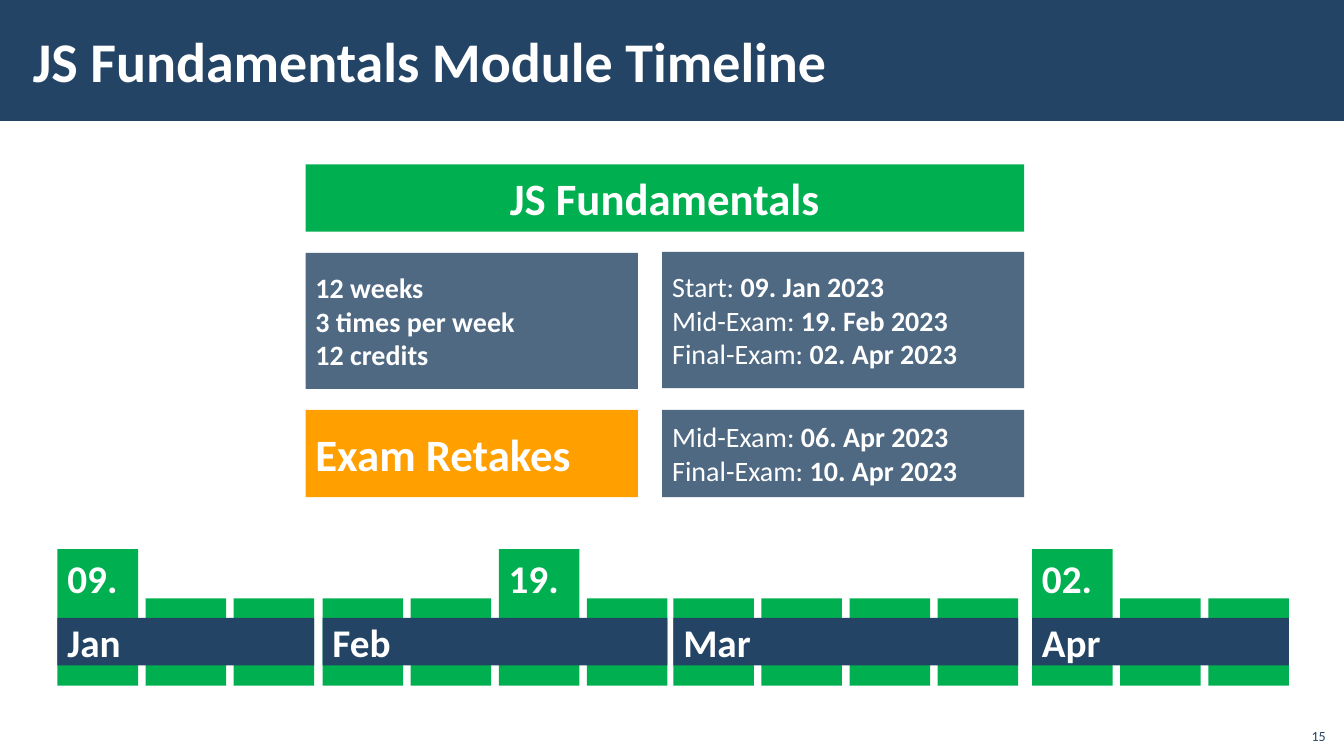
from dataclasses import dataclass

from lxml import etree
from pptx import Presentation
from pptx.dml.color import RGBColor
from pptx.enum.shapes import MSO_SHAPE
from pptx.enum.text import MSO_ANCHOR, PP_ALIGN
from pptx.oxml.ns import qn
from pptx.util import Cm, Pt

RECT = MSO_SHAPE.RECTANGLE
TOP, MIDDLE, BOTTOM = MSO_ANCHOR.TOP, MSO_ANCHOR.MIDDLE, MSO_ANCHOR.BOTTOM
LEFT, CENTER, RIGHT = PP_ALIGN.LEFT, PP_ALIGN.CENTER, PP_ALIGN.RIGHT
NAVY, GREEN, ORANGE, WHITE = "234465", "00B050", "FFA000", "FFFFFF"


@dataclass
class Text:
    lines: list[tuple[str, str]]  # each line: plain label, bold value
    size: int
    anchor: int = MIDDLE
    align: int = LEFT
    color: str = WHITE
    margins: tuple[float, float] = (0.25, 0.13)


@dataclass
class Box:
    left: float
    top: float
    width: float
    height: float
    fill: str | None = None
    text: Text | None = None
    alpha: int = 100


@dataclass
class Month:
    name: str
    left: float
    weeks: int
    marked_week: int | None = None
    day: str = ""


def rgb(color: str) -> RGBColor:
    return RGBColor.from_string(color)


def write_text(sp, text: Text) -> None:
    tf = sp.text_frame
    dx, dy = map(Cm, text.margins)
    frame = {"word_wrap": True, "vertical_anchor": text.anchor,
             "margin_left": dx, "margin_right": dx,
             "margin_top": dy, "margin_bottom": dy}
    for name, value in frame.items():
        setattr(tf, name, value)
    for i, parts in enumerate(text.lines):
        p = tf.add_paragraph() if i else tf.paragraphs[0]
        p.alignment = text.align
        for part, bold in zip(parts, (False, True)):
            if not part:
                continue
            r = p.add_run()
            r.text = part
            font = {"name": "Calibri", "size": Pt(text.size), "bold": bold}
            for name, value in font.items():
                setattr(r.font, name, value)
            r.font.color.rgb = rgb(text.color)


def draw_box(s, box: Box) -> None:
    at = [Cm(v) for v in (box.left, box.top, box.width, box.height)]
    if box.fill:
        sp = s.shapes.add_shape(RECT, *at)
        sp.shadow.inherit = False
        sp.fill.solid()
        sp.fill.fore_color.rgb = rgb(box.fill)
        sp.line.fill.background()
        if box.alpha < 100:
            clr = sp.fill._xPr.find(".//" + qn("a:srgbClr"))
            etree.SubElement(clr, qn("a:alpha"), val=str(box.alpha * 1000))
    else:
        sp = s.shapes.add_textbox(*at)
    if box.text:
        write_text(sp, box.text)


# Header and slide number
SLIDE_W, SLIDE_H = 33.87, 19.05
HEADER = [
    Box(0, 0, SLIDE_W, 3.05, NAVY),
    Box(0.53, 0.28, 27, 2.46, None,
        Text([("", "JS Fundamentals Module Timeline")], 40, margins=(0.3, 0.1))),
    Box(32.64, 18.08, 1.02, 0.81, None,
        Text([("15", "")], 10, BOTTOM, RIGHT, NAVY)),
]

# Module facts in two columns
COL1, COL1_W = 7.7, 8.38
COL2, COL2_W = 16.69, 9.12
FACTS = [
    Box(COL1, 4.14, COL2 + COL2_W - COL1, 1.7, GREEN,
        Text([("", "JS Fundamentals")], 32, align=CENTER)),
    Box(COL1, 6.37, COL1_W, 3.43, NAVY,
        Text([("", "12 weeks"), ("", "3 times per week"), ("", "12 credits")], 20), 80),
    Box(COL2, 6.35, COL2_W, 3.43, NAVY,
        Text([("Start: ", "09. Jan 2023"), ("Mid-Exam: ", "19. Feb 2023"),
              ("Final-Exam: ", "02. Apr 2023")], 20), 80),
    Box(COL1, 10.33, COL1_W, 2.2, ORANGE, Text([("", "Exam Retakes")], 32)),
    Box(COL2, 10.33, COL2_W, 2.2, NAVY,
        Text([("Mid-Exam: ", "06. Apr 2023"), ("Final-Exam: ", "10. Apr 2023")], 20), 80),
]

# Timeline
WEEK_W, WEEK_PITCH = 2.03, 2.22
WEEK_TOP, MARKED_TOP, WEEK_BOTTOM = 15.08, 13.84, 17.28
BAR_TOP, BAR_H = 15.57, 1.2
MONTHS = [
    Month("Jan", 1.45, 3, 0, "09."),
    Month("Feb", 8.13, 4, 2, "19."),
    Month("Mar", 16.97, 4),
    Month("Apr", 26.01, 3, 0, "02."),
]


def draw_month(s, month: Month) -> None:
    for week in range(month.weeks):
        marked = week == month.marked_week
        top = MARKED_TOP if marked else WEEK_TOP
        label = Text([("", month.day)], 28, TOP) if marked else None
        draw_box(s, Box(month.left + week * WEEK_PITCH, top, WEEK_W,
                        WEEK_BOTTOM - top, GREEN, label))
    width = (month.weeks - 1) * WEEK_PITCH + WEEK_W
    draw_box(s, Box(month.left, BAR_TOP, width, BAR_H, NAVY,
                    Text([("", month.name)], 28, margins=(0.25, 0))))


def main() -> None:
    prs = Presentation()
    prs.slide_width, prs.slide_height = Cm(SLIDE_W), Cm(SLIDE_H)
    s = prs.slides.add_slide(prs.slide_layouts[6])
    for box in HEADER + FACTS:
        draw_box(s, box)
    for month in MONTHS:
        draw_month(s, month)
    prs.save("out.pptx")


if __name__ == "__main__":
    main()
